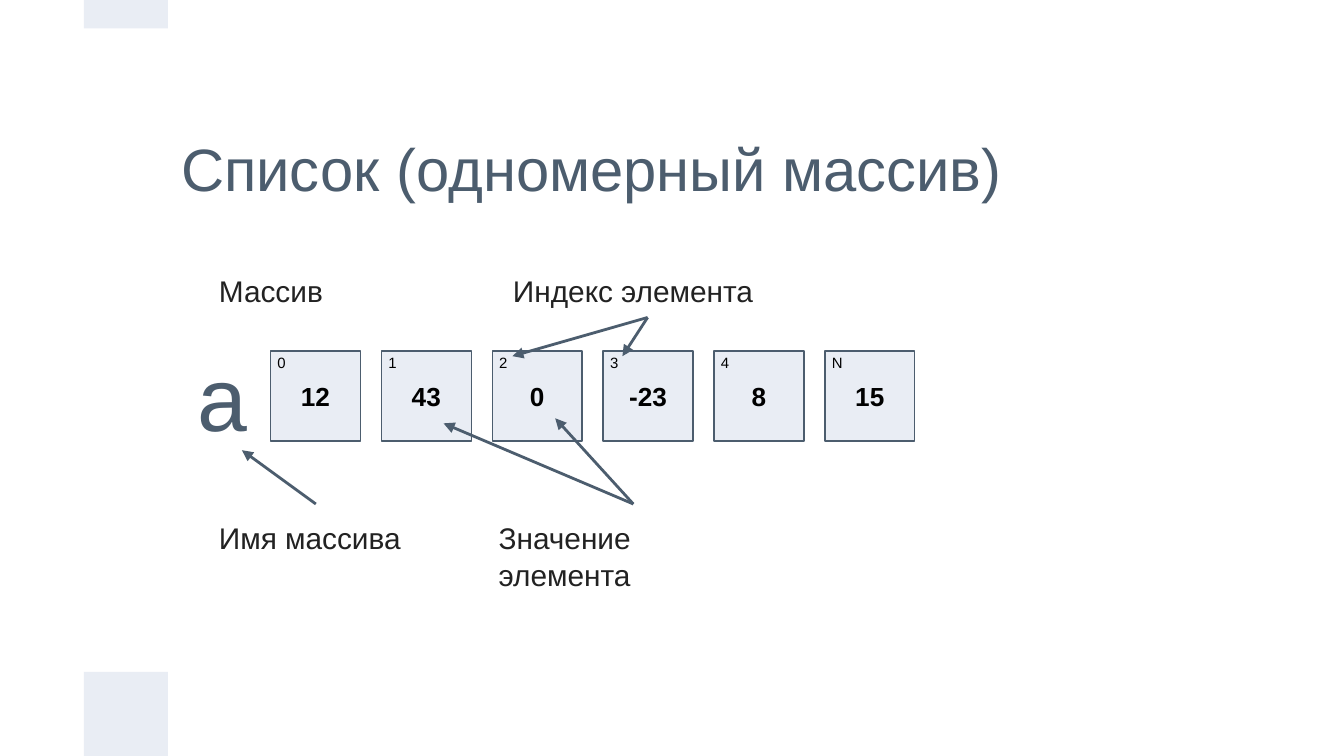
from lxml.etree import SubElement
from pptx import Presentation
from pptx.dml.color import RGBColor
from pptx.enum.shapes import MSO_CONNECTOR, MSO_SHAPE
from pptx.enum.text import MSO_ANCHOR, PP_ALIGN
from pptx.oxml.ns import qn
from pptx.util import Inches, Pt

# The slide is a grid of 16 columns and 9 rows of square units.
COLUMNS, ROWS = 16, 9
UNIT = Inches(0.625)

SLATE = RGBColor(0x4C, 0x5D, 0x6E)
PALE = RGBColor(0xE9, 0xED, 0xF4)
INK = RGBColor(0x22, 0x22, 0x22)
BLACK = RGBColor(0, 0, 0)

FONT = "Arial"
TITLE_FORMAT = {"size": Pt(32), "color": SLATE}
NAME_FORMAT = {"size": Pt(48), "color": SLATE}
LABEL_FORMAT = {"size": Pt(16), "color": INK}
VALUE_FORMAT = {"size": Pt(14), "color": BLACK, "bold": True}
INDEX_FORMAT = {"size": Pt(8), "color": BLACK}

CELLS = [("0", "12"), ("1", "43"), ("2", "0"), ("3", "-23"), ("4", "8"), ("N", "15")]
CELL_SIZE, CELL_PITCH = 1.07, 1.32
LABEL_HEIGHT = 0.7

# Text, column, row and width inside the diagram
LABELS = [
    ("Массив", 0.26, 0, 1.9),
    ("Индекс элемента", 3.76, 0, 3.52),
    ("Имя массива", 0.26, 2.93, 2.59),
    ("Значение элемента", 3.59, 2.93, 3.52),
]
# Start of the arrows and the points they lead to, inside the diagram
ARROWS = [
    ((1.57, 2.93), [(0.69, 2.29)]),
    ((5.35, 2.93), [(4.42, 1.91), (3.09, 1.97)]),
    ((5.52, 0.71), [(3.91, 1.17), (5.22, 1.17)]),
]


def grid(*units):
    return [round(unit * UNIT) for unit in units]


def write(shape, text, look, anchor=MSO_ANCHOR.TOP, align=PP_ALIGN.LEFT, spacing=1.0):
    frame = shape.text_frame
    margins = {f"margin_{side}": Inches(0.1) for side in ("left", "top", "right", "bottom")}
    for name, value in {"word_wrap": True, "vertical_anchor": anchor, **margins}.items():
        setattr(frame, name, value)
    para = frame.paragraphs[0]
    para.alignment = align
    para.line_spacing = spacing
    span = para.add_run()
    span.text = text
    for name, value in {"name": FONT, **look}.items():
        if name == "color":
            span.font.color.rgb = value
        else:
            setattr(span.font, name, value)


def add_text(page, box, text, look, **layout):
    write(page.shapes.add_textbox(*grid(*box)), text, look, **layout)


def add_rectangle(page, box, outlined=False):
    shape = page.shapes.add_shape(MSO_SHAPE.RECTANGLE, *grid(*box))
    shape.shadow.inherit = False
    shape.fill.solid()
    shape.fill.fore_color.rgb = PALE
    if outlined:
        shape.line.color.rgb = SLATE
        shape.line.width = Pt(0.75)
    else:
        shape.line.fill.background()
    return shape


def add_arrow(page, start, end):
    arrow = page.shapes.add_connector(MSO_CONNECTOR.STRAIGHT, *grid(*start, *end))
    arrow.line.color.rgb = SLATE
    arrow.line.width = Pt(1.5)
    SubElement(arrow.line._get_or_add_ln(), qn("a:tailEnd"), type="triangle")
    SubElement(arrow._element.spPr, qn("a:effectLst"))


def add_side_marks(page, box):
    """Mark the top and bottom edges of the slide within a column."""
    left, top, width, height = box
    top_mark, bottom_mark = 0.34, 1
    add_rectangle(page, (left, top + height - bottom_mark, width, bottom_mark))
    add_rectangle(page, (left, top, width, top_mark))


def add_cells(page, box):
    left, top, size, pitch = box
    for number, (index, value) in enumerate(CELLS):
        column = left + number * pitch
        cell = add_rectangle(page, (column, top, size, size), outlined=True)
        write(cell, value, VALUE_FORMAT, anchor=MSO_ANCHOR.MIDDLE, align=PP_ALIGN.CENTER)
        add_text(page, (column - 0.03, top - 0.08, 0.27, 0.3), index, INDEX_FORMAT)


def add_array_diagram(page, origin):
    left, top = origin
    cell_row = top + 1.11
    add_cells(page, (left + 1.03, cell_row, CELL_SIZE, CELL_PITCH))
    add_text(page, (left, cell_row, 0.85, CELL_SIZE), "a", NAME_FORMAT,
             anchor=MSO_ANCHOR.MIDDLE)
    for text, column, row, width in LABELS:
        add_text(page, (left + column, top + row, width, LABEL_HEIGHT), text,
                 LABEL_FORMAT, spacing=1.05)
    for (column, row), targets in ARROWS:
        for target_column, target_row in targets:
            add_arrow(page, (left + column, top + row),
                      (left + target_column, top + target_row))


def main():
    deck = Presentation()
    deck.slide_width, deck.slide_height = grid(COLUMNS, ROWS)
    page = deck.slides.add_slide(deck.slide_layouts[6])
    add_side_marks(page, (1, 0, 1, ROWS))
    add_text(page, (2, 1, 12, 2), "Список (одномерный массив)", TITLE_FORMAT,
             anchor=MSO_ANCHOR.MIDDLE)
    add_array_diagram(page, (2.19, 3.07))
    deck.save("out.pptx")


if __name__ == "__main__":
    main()
